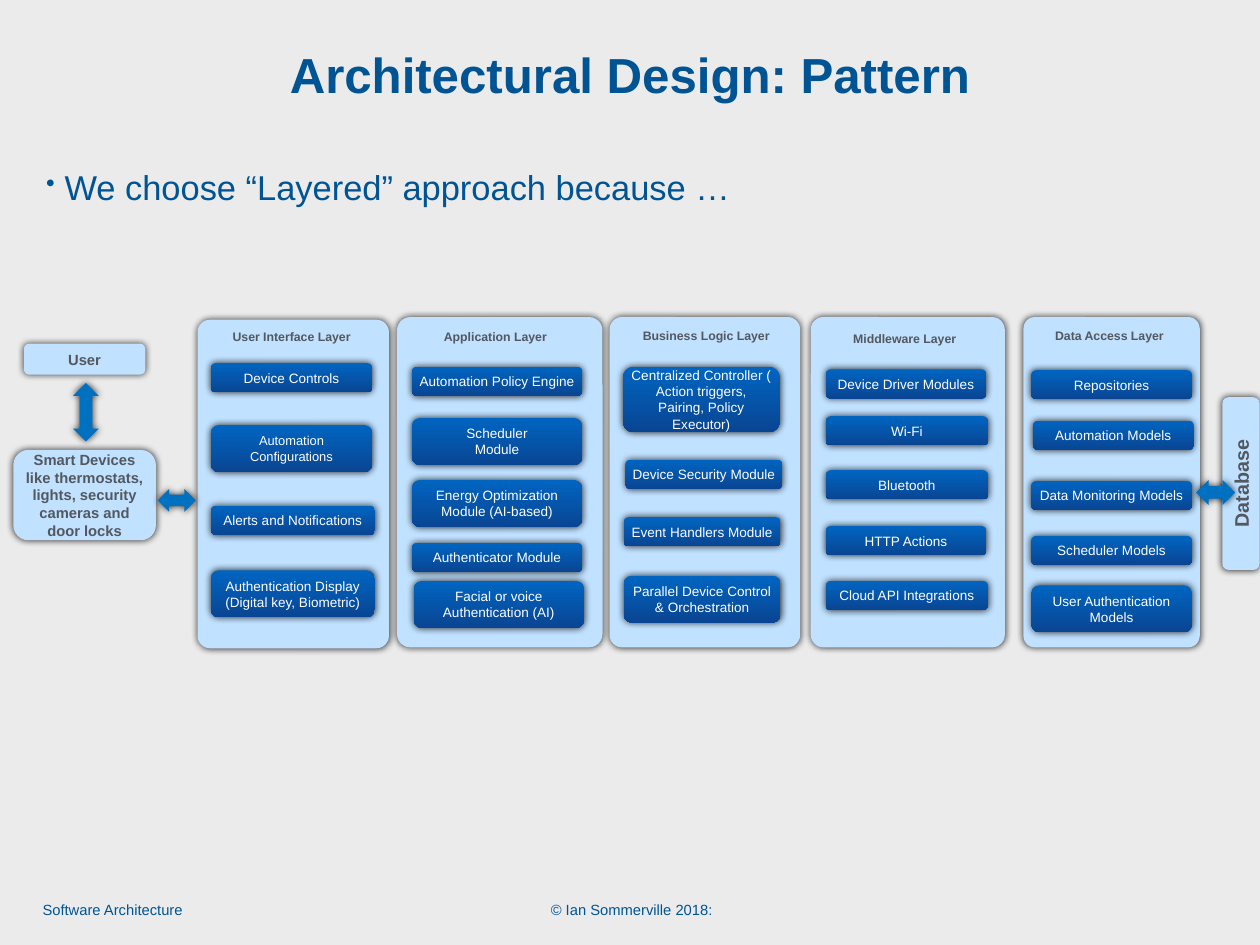
from lxml import etree
from pptx import Presentation
from pptx.dml.color import RGBColor
from pptx.enum.shapes import MSO_SHAPE
from pptx.enum.text import MSO_ANCHOR, PP_ALIGN
from pptx.oxml.ns import qn
from pptx.util import Inches, Pt

ROUND = MSO_SHAPE.ROUNDED_RECTANGLE
ARROW = MSO_SHAPE.LEFT_RIGHT_ARROW
LEFT, CENTER = PP_ALIGN.LEFT, PP_ALIGN.CENTER
TOP, MIDDLE = MSO_ANCHOR.TOP, MSO_ANCHOR.MIDDLE


class Theme:
    font = "Arial"
    back = RGBColor.from_string("EBEBEB")
    navy = RGBColor.from_string("005493")
    pale = RGBColor.from_string("C0E1FF")
    gray = RGBColor.from_string("53585F")
    white = RGBColor.from_string("FFFFFF")
    arrow = RGBColor.from_string("0070C0")
    light = RGBColor.from_string("0065C1")
    dark = RGBColor.from_string("094593")
    title, body, store, note, block, tight, label = 40, 28, 16, 12, 11, 10.5, 10


def write(shape, text, size, color, bold=False, align=CENTER, anchor=MIDDLE, wrap=True):
    frame = shape.text_frame
    frame.word_wrap = wrap
    frame.vertical_anchor = anchor
    frame.margin_left = frame.margin_right = Inches(0.06)
    frame.margin_top = frame.margin_bottom = Inches(0.06)
    frame.text = text
    for para in frame.paragraphs:
        para.alignment = align
        if align == LEFT and anchor == TOP:
            props = para._p.get_or_add_pPr()
            props.set("marL", str(Inches(0.21)))
            props.set("indent", str(Inches(-0.21)))
            etree.SubElement(props, qn("a:buSzPct")).set("val", "75000")
            etree.SubElement(props, qn("a:buChar")).set("char", "•")
        para.font.name = Theme.font
        para.font.size = Pt(size)
        para.font.bold = bold
        para.font.color.rgb = color


def draw(kind, box, fill=None, turn=0):
    shape = slide.shapes.add_shape(kind, *map(Inches, box))
    shape.rotation = turn
    shape.line.fill.background()
    if fill is None:
        shape.fill.gradient()
        shape.fill.gradient_angle = 270
        for stop, color in zip(shape.fill.gradient_stops, (Theme.light, Theme.dark)):
            stop.color.rgb = color
    else:
        shape.fill.solid()
        shape.fill.fore_color.rgb = fill
    shape.shadow.inherit = False
    effects = shape._element.spPr.find(qn("a:effectLst"))
    glow = etree.SubElement(effects, qn("a:outerShdw"), blurRad=str(Pt(6)),
                            dist="0", dir="18900000", rotWithShape="0")
    tint = etree.SubElement(glow, qn("a:srgbClr"), val="000000")
    etree.SubElement(tint, qn("a:alpha"), val="80000")
    return shape


deck = Presentation()
deck.slide_width, deck.slide_height = Inches(14.22), Inches(10.67)
slide = deck.slides.add_slide(deck.slide_layouts[6])
slide.background.fill.solid()
slide.background.fill.fore_color.rgb = Theme.back

texts = [
    ("© Ian Sommerville 2018:", (6.13, 10.11, 2, 0.31), Theme.note, False, CENTER, MIDDLE, False),
    ("Software Architecture", (0.42, 10.11, 1.71, 0.31), Theme.note, False, LEFT, MIDDLE, False),
    ("We choose “Layered” approach because …", (0.46, 1.81, 12.97, 7.87),
     Theme.body, False, LEFT, TOP, True),
    ("Architectural Design: Pattern", (0.54, 0.44, 13.14, 1.2),
     Theme.title, True, CENTER, TOP, True),
]
for text, box, size, bold, align, anchor, wrap in texts:
    area = slide.shapes.add_textbox(*map(Inches, box))
    write(area, text, size, Theme.navy, bold, align, anchor, wrap)

ends = [
    ("User", (0.27, 3.88, 1.37, 0.35), Theme.note, 0),
    ("Smart Devices like thermostats, lights, security cameras and door locks",
     (0.15, 5.08, 1.61, 1.02), Theme.note, 0),
    ("Database", (13.03, 5.25, 1.95, 0.42), Theme.store, 270),
]

layers = [
    ("User Interface Layer", (2.23, 3.61, 2.16, 3.71), (2.38, 3.66), [
        ("Device Controls", 2.38, 4.1, 1.82, 0.33),
        ("Automation Configurations", 2.38, 4.8, 1.82, 0.53),
        ("Alerts and Notifications", 2.38, 5.71, 1.85, 0.33),
        ("Authentication Display\n(Digital key, Biometric)", 2.38, 6.44, 1.85, 0.53),
    ]),
    ("Application Layer", (4.48, 3.58, 2.32, 3.73), (4.68, 3.66), [
        ("Automation Policy Engine", 4.65, 4.14, 1.92, 0.33),
        ("Scheduler\nModule", 4.65, 4.72, 1.92, 0.53),
        ("Energy Optimization Module (AI-based)", 4.65, 5.42, 1.92, 0.53),
        ("Authenticator Module", 4.65, 6.13, 1.92, 0.33),
        ("Facial or voice Authentication (AI)", 4.67, 6.56, 1.92, 0.53),
    ]),
    ("Business Logic Layer", (6.88, 3.58, 2.15, 3.73), (7.06, 3.65), [
        ("Centralized Controller ( Action triggers, Pairing, Policy Executor)",
         7.03, 4.14, 1.77, 0.74),
        ("Device Security Module", 7.06, 5.19, 1.77, 0.33),
        ("Event Handlers Module", 7.04, 5.84, 1.77, 0.33),
        ("Parallel Device Control & Orchestration", 7.04, 6.5, 1.77, 0.53),
    ]),
    ("Middleware Layer", (9.15, 3.58, 2.19, 3.73), (9.3, 3.68), [
        ("Device Driver Modules", 9.32, 4.17, 1.81, 0.33),
        ("Wi-Fi", 9.32, 4.7, 1.83, 0.33),
        ("Bluetooth", 9.32, 5.31, 1.83, 0.33),
        ("HTTP Actions", 9.32, 5.94, 1.81, 0.33),
        ("Cloud API Integrations", 9.32, 6.56, 1.83, 0.33),
    ]),
    ("Data Access Layer", (11.55, 3.58, 1.99, 3.73), (11.61, 3.65), [
        ("Repositories", 11.64, 4.18, 1.81, 0.33),
        ("Automation Models", 11.66, 4.75, 1.81, 0.33),
        ("Data Monitoring Models", 11.64, 5.43, 1.81, 0.33),
        ("Scheduler Models", 11.64, 6.05, 1.81, 0.33),
        ("User Authentication Models", 11.64, 6.61, 1.81, 0.53),
    ]),
]
for name, box, spot, blocks in layers:
    panel = draw(ROUND, box, Theme.pale)
    panel.adjustments[0] = 0.065
    label = slide.shapes.add_textbox(*map(Inches, (*spot, 1.82, 0.28)))
    write(label, name, Theme.label, Theme.gray, True)
    for text, *place in blocks:
        size = Theme.tight if text == "Automation Configurations" else Theme.block
        write(draw(ROUND, place), text, size, Theme.white)

for text, box, size, turn in ends:
    write(draw(ROUND, box, Theme.pale, turn), text, size, Theme.gray, True)

arrows = [
    ((1.78, 5.52, 0.43, 0.26), 0),
    ((0.64, 4.51, 0.66, 0.29), 90),
    ((13.5, 5.42, 0.44, 0.28), 0),
]
for box, turn in arrows:
    draw(ARROW, box, Theme.arrow, turn)

deck.save("out.pptx")
